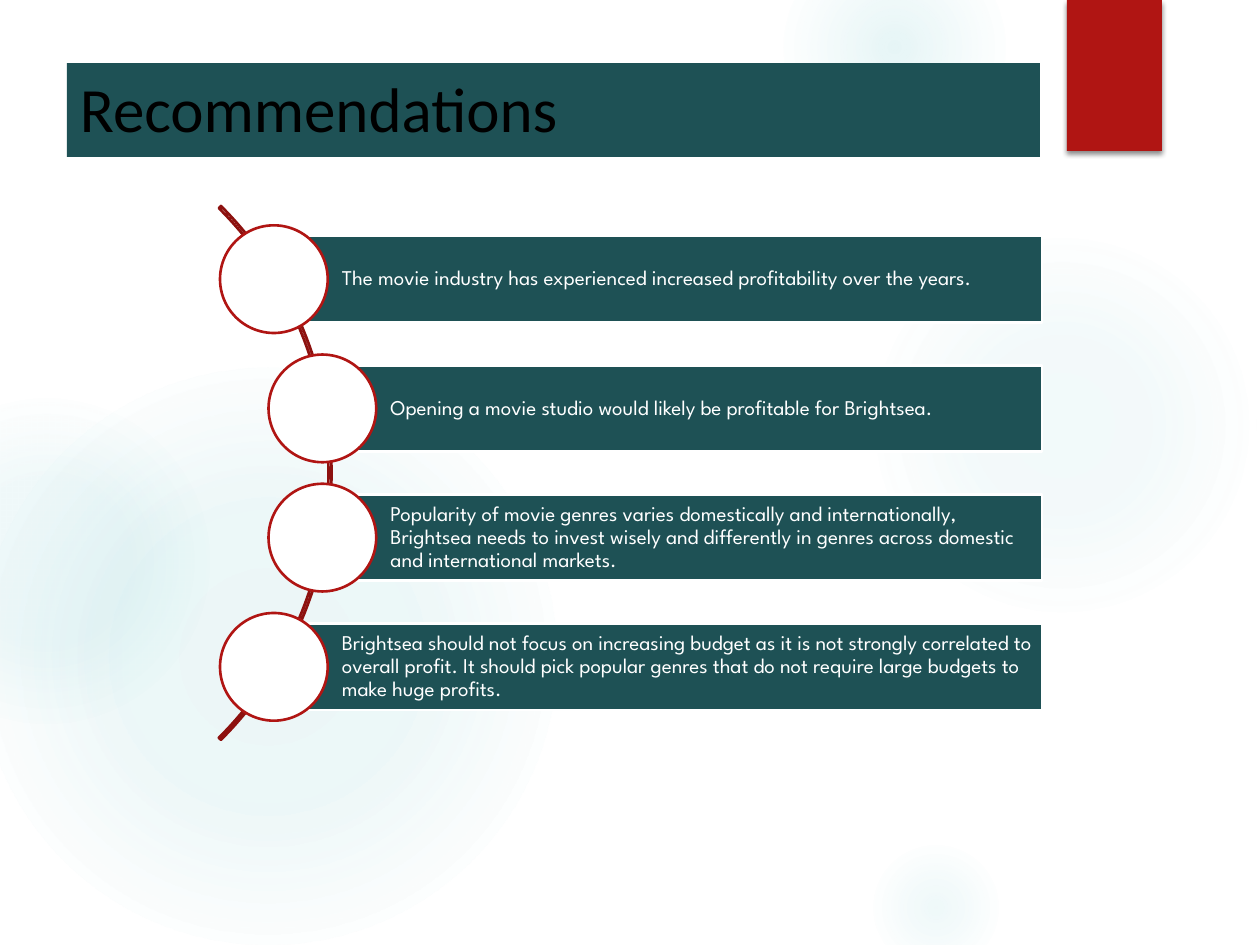
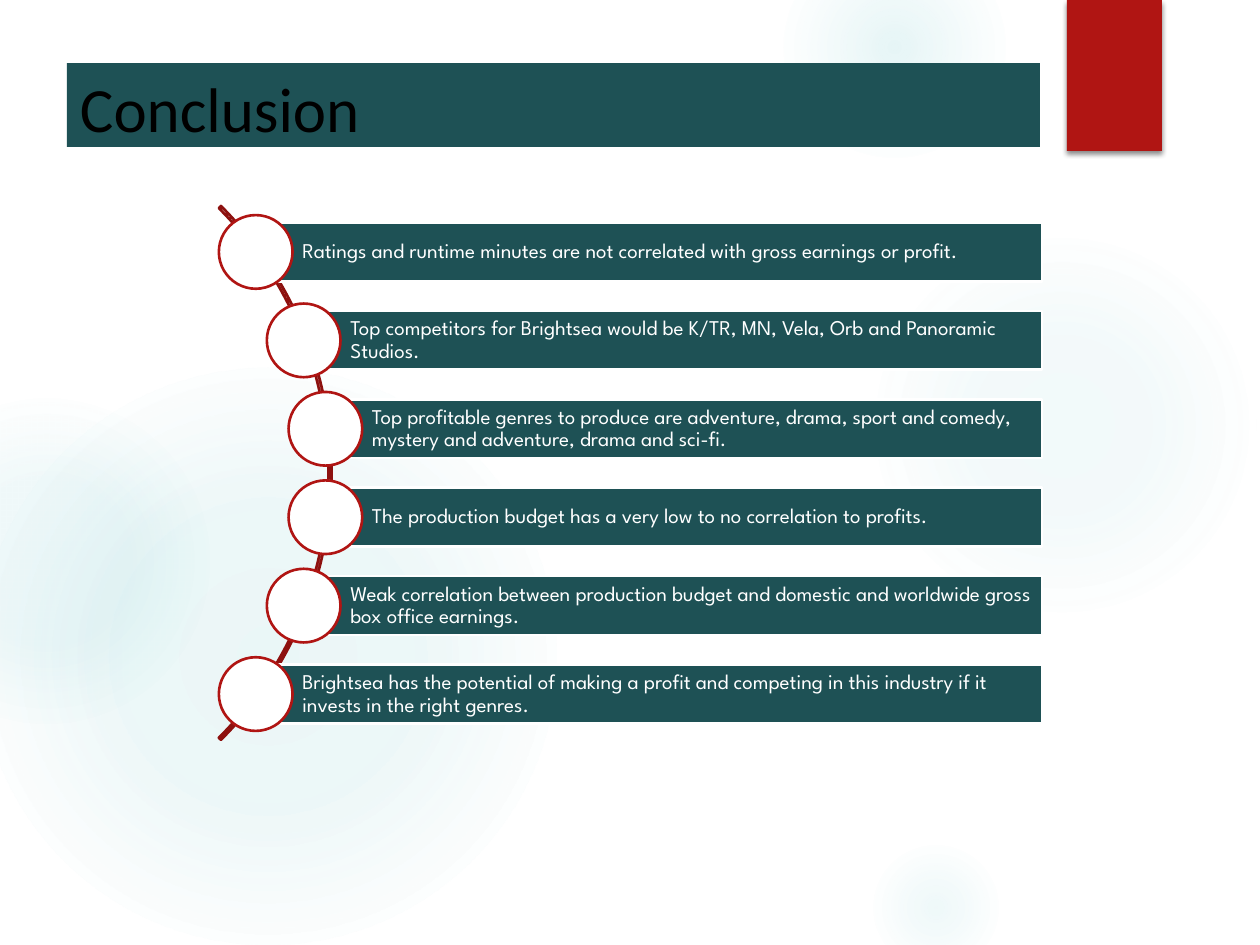
from math import sqrt

from pptx import Presentation
from pptx.dml.color import RGBColor
from pptx.enum.shapes import MSO_SHAPE as SHAPE
from pptx.enum.text import MSO_ANCHOR as ANCHOR, PP_ALIGN as ALIGN
from pptx.oxml import parse_xml
from pptx.oxml.ns import nsdecls, qn
from pptx.util import Pt

PX = 914400 / 126  # EMU per px
SLIDE_W, SLIDE_H = 1260, 945
COLORS = {
    "teal": "1E5155", "red": "B01513", "dark_red": "8D110F",
    "glow": "50B9C1", "white": "FFFFFF", "black": "000000",
}

# Glows: left, top, diameter, then (position %, opacity %) stops
GLOWS = [
    (868, 231, 388, [(0, 7), (36, 6), (69, 0)]),
    (784, -63, 221, [(0, 14), (36, 7), (73, 0)]),
    (868, 840, 136, [(0, 9), (36, 5), (66, 0)]),
    (-21, 368, 577, [(0, 11), (36, 10), (75, 0)]),
    (-116, 399, 325, [(0, 8), (36, 8), (72, 0)]),
]
TITLE_BOX = (67, 63, 973)       # left, top, width
LIST_BOX = (219, 193, 823, 560)  # left, top, width, height
ARC_D = 755                     # diameter of the arc behind the circles
ARC_CX = -46                    # centre of the arc
TRACK_R = 374                   # radius on which the circles sit

SLIDES = [
    ("Recommendations", 94, [
        "The movie industry has experienced increased profitability over the years.",
        "Opening a movie studio would likely be profitable for Brightsea.",
        "Popularity of movie genres varies domestically and internationally, "
        "Brightsea needs to invest wisely and differently in genres across "
        "domestic and international markets.",
        "Brightsea should not focus on increasing budget as it is not strongly "
        "correlated to overall profit. It should pick popular genres that do not "
        "require large budgets to make huge profits.",
    ]),
    ("Conclusion", 84, [
        "Ratings and runtime minutes are not correlated with gross earnings or profit.",
        "Top competitors for Brightsea would be K/TR, MN, Vela, Orb and Panoramic Studios.",
        "Top profitable genres to produce are adventure, drama, sport and comedy, "
        "mystery and adventure, drama and sci-fi.",
        "The production budget has a very low to no correlation to profits.",
        "Weak correlation between production budget and domestic and worldwide "
        "gross box office earnings.",
        "Brightsea has the potential of making a profit and competing in this "
        "industry if it invests in the right genres.",
    ]),
]


def emu(px):
    return round(px * PX)


def rgb(name):
    return RGBColor.from_string(COLORS[name])


def add_sp(slide, kind, box, fill=None, line=None):
    sp = slide.shapes.add_shape(kind, *map(emu, box))
    sp.shadow.inherit = False
    if fill:
        sp.fill.solid()
        sp.fill.fore_color.rgb = rgb(fill)
    else:
        sp.fill.background()
    if line:
        sp.line.color.rgb = rgb(line)
        sp.line.width = Pt(1.5)
    else:
        sp.line.fill.background()
    return sp


def set_text(sp, text, font, size, color, anchor, margins, spacing=None):
    """Margins are left, top, right, bottom in px."""
    tf = sp.text_frame
    tf.word_wrap = True
    tf.vertical_anchor = anchor
    tf.margin_left, tf.margin_top, tf.margin_right, tf.margin_bottom = map(emu, margins)
    p = tf.paragraphs[0]
    p.alignment = ALIGN.LEFT
    if spacing:
        p.line_spacing = spacing
    r = p.add_run()
    r.text = text
    r.font.name, r.font.size = font, Pt(size)
    r.font.color.rgb = rgb(color)


def add_glow(slide, left, top, d, stops):
    sp = add_sp(slide, SHAPE.OVAL, (left, top, d, d))
    gs = "".join(
        f'<a:gs pos="{pos * 1000}"><a:srgbClr val="{COLORS["glow"]}">'
        f'<a:alpha val="{alpha * 1000}"/></a:srgbClr></a:gs>'
        for pos, alpha in stops)
    grad = parse_xml(
        f'<a:gradFill {nsdecls("a")} rotWithShape="1"><a:gsLst>{gs}</a:gsLst>'
        '<a:path path="circle"><a:fillToRect l="50000" t="50000" r="50000" b="50000"/>'
        '</a:path></a:gradFill>')
    spPr = sp._element.spPr
    spPr.replace(spPr.find(qn("a:noFill")), grad)


def add_backdrop(slide):
    for glow in GLOWS:
        add_glow(slide, *glow)
    # Red tab with a soft shadow
    tab = add_sp(slide, SHAPE.RECTANGLE, (1067, 0, 95, 151), "red")
    tab._element.spPr.find(qn("a:effectLst")).append(parse_xml(
        f'<a:outerShdw {nsdecls("a")} blurRad="{Pt(3)}" dist="{Pt(2)}" dir="5400000" '
        f'rotWithShape="0"><a:srgbClr val="{COLORS["black"]}"><a:alpha val="45000"/>'
        '</a:srgbClr></a:outerShdw>'))


def add_title(slide, text, height):
    sp = add_sp(slide, SHAPE.RECTANGLE, (*TITLE_BOX, height), "teal")
    set_text(sp, text, "Calibri", 36, "black", ANCHOR.TOP, (13, 6, 13, 6))


def add_curved_list(slide, items, box):
    left, top, width, height = box
    mid_y = top + height / 2
    # Arc
    arc = add_sp(slide, SHAPE.BLOCK_ARC,
                 (ARC_CX - ARC_D / 2, mid_y - ARC_D / 2, ARC_D, ARC_D), line="dark_red")
    for i, value in enumerate((189, 27, 0.004)):
        arc.adjustments[i] = value
    # Bars are separated, and framed above and below, by half a bar
    bar_h = height / (1.5 * len(items) + 0.5)
    d = 1.25 * bar_h
    for i, text in enumerate(items):
        bar_y = top + bar_h * (0.5 + 1.5 * i)
        y = bar_y + bar_h / 2
        x = ARC_CX + sqrt(TRACK_R ** 2 - (y - mid_y) ** 2)
        bar = add_sp(slide, SHAPE.RECTANGLE, (x, bar_y, left + width - x, bar_h),
                     "teal", "white")
        set_text(bar, text, "League Spartan", 12, "white", ANCHOR.MIDDLE,
                 (0.79 * bar_h, 4, 4, 4), spacing=0.9)
        add_sp(slide, SHAPE.OVAL, (x - d / 2, y - d / 2, d, d), "white", "red")


def main():
    prs = Presentation()
    prs.slide_width, prs.slide_height = emu(SLIDE_W), emu(SLIDE_H)
    for title, title_h, items in SLIDES:
        slide = prs.slides.add_slide(prs.slide_layouts[6])
        add_backdrop(slide)
        add_title(slide, title, title_h)
        add_curved_list(slide, items, LIST_BOX)
    prs.save("out.pptx")


if __name__ == "__main__":
    main()
